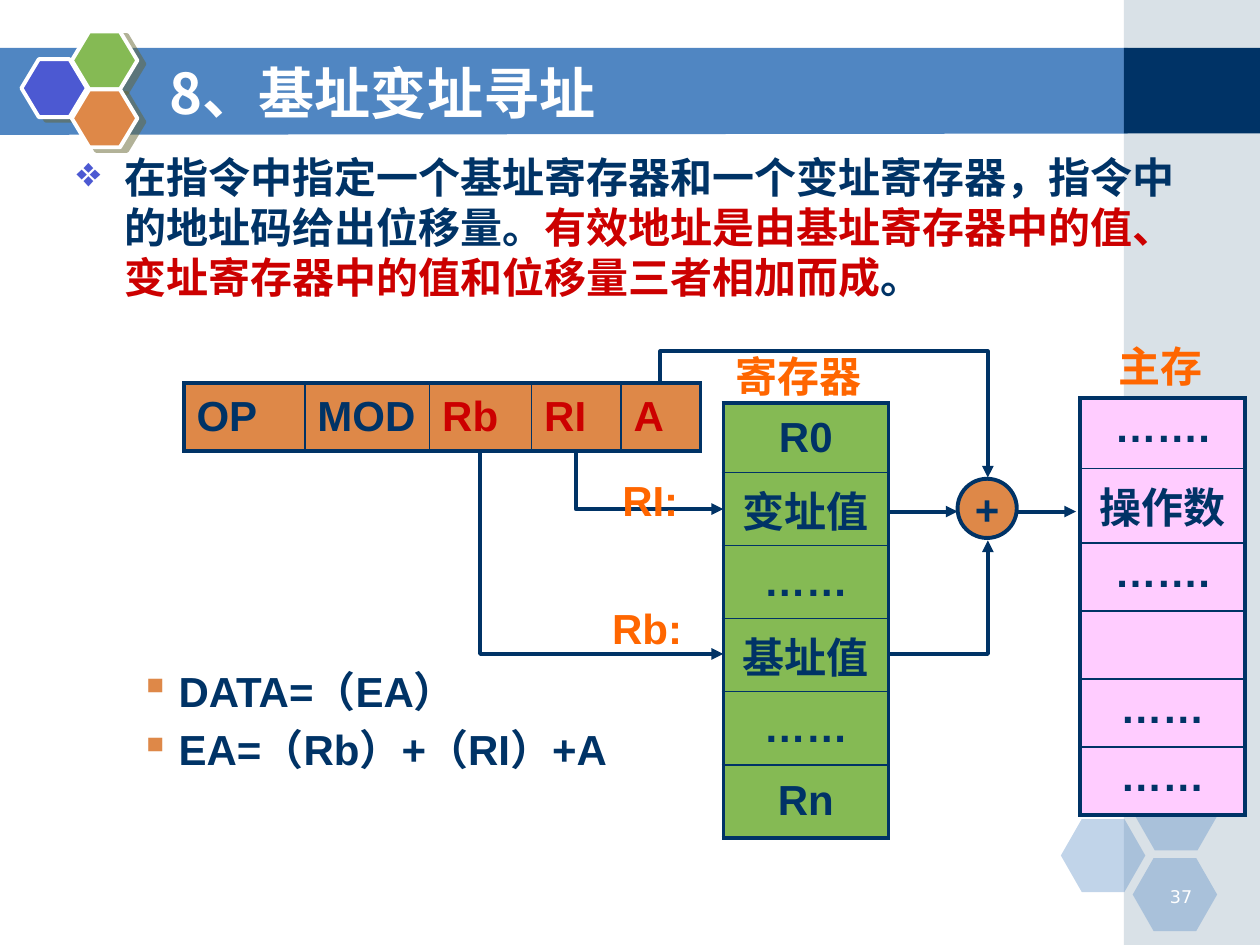
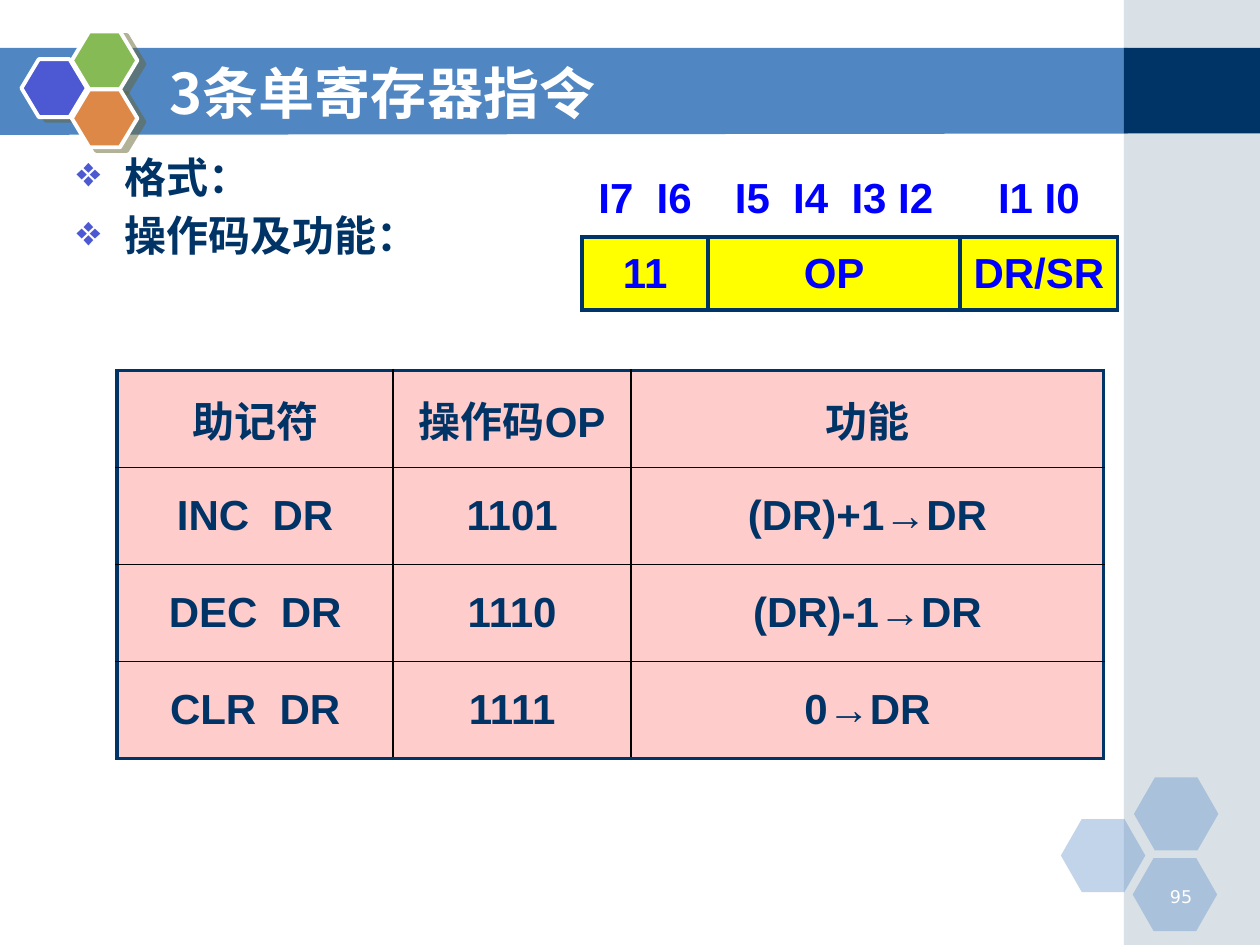
from lxml.etree import SubElement
from pptx import Presentation
from pptx.dml.color import RGBColor
from pptx.enum.shapes import MSO_CONNECTOR, MSO_SHAPE
from pptx.enum.text import MSO_ANCHOR, PP_ALIGN
from pptx.oxml.ns import qn
from pptx.util import Inches, Pt

NAVY = RGBColor(0x00, 0x33, 0x66)
BLUE = RGBColor(0x50, 0x86, 0xC2)
MIST = RGBColor(0xA0, 0xB5, 0xC4)
INDIGO = RGBColor(0x4C, 0x59, 0xD2)
GREEN = RGBColor(0x85, 0xBA, 0x54)
ORANGE = RGBColor(0xDE, 0x88, 0x48)
LABEL = RGBColor(0xFF, 0x66, 0x00)
RED = RGBColor(0xCC, 0x00, 0x00)
OLIVE = RGBColor(0x66, 0x66, 0x33)
BIT_BLUE = RGBColor(0x00, 0x00, 0xFF)
YELLOW = RGBColor(0xFF, 0xFF, 0x00)
LILAC = RGBColor(0xFF, 0xCC, 0xFF)
PINK = RGBColor(0xFF, 0xCC, 0xCC)
WHITE = RGBColor(0xFF, 0xFF, 0xFF)
BLACK = RGBColor(0x00, 0x00, 0x00)

LATIN, CHINESE, SMALL = "Arial", "Noto Sans CJK SC", "DejaVu Sans"
HEAVY, THIN = Pt(2.25), Pt(1)


def add_tag(parent, tag, **attributes):
    return SubElement(parent, qn(tag), {key: str(value) for key, value in attributes.items()})


class Builder:
    """Holds the deck style and the slide being built."""

    def __init__(self):
        self.deck = Presentation()
        self.deck.slide_width, self.deck.slide_height = Inches(10), Inches(7.5)
        self.page = None

    def start(self, title, number):
        self.page = self.deck.slides.add_slide(self.deck.slide_layouts[6])
        # Title band and right column
        outline = self.page.shapes.build_freeform(Inches(-0.01), Inches(0.38))
        outline.add_line_segments([(Inches(x), Inches(y)) for x, y in
                                   ((8.95, 0.38), (8.95, 1.06), (-0.01, 1.07))])
        self.paint(outline.convert_to_shape(), BLUE)
        self.shape(MSO_SHAPE.RECTANGLE, (8.92, 0, 1.08, 7.5), MIST, alpha=40)
        self.shape(MSO_SHAPE.RECTANGLE, (8.92, 0.38, 1.08, 0.68), NAVY)
        # Hexagon clusters
        for x, y in ((8.42, 6.5), (9, 6.17), (8.99, 6.81)):
            pale = self.shape(MSO_SHAPE.HEXAGON, (x, y, 0.67, 0.58), BLUE, alpha=35)
            pale.adjustments[0] = 0.286
        for x, y, color in ((0.17, 0.47, INDIGO), (0.57, 0.25, GREEN), (0.57, 0.71, ORANGE)):
            badge = self.shape(MSO_SHAPE.HEXAGON, (x, y, 0.52, 0.46), color, WHITE)
            badge.adjustments[0] = 0.3
            self.cast_shadow(badge)
        # Page number and title
        self.text((9.06, 6.98, 0.5, 0.25), str(number), WHITE, 10, SMALL,
                  bold=False, align=PP_ALIGN.RIGHT)
        self.text((1.25, 0.42, 7.33, 0.62), title, WHITE, 32, CHINESE,
                  anchor=MSO_ANCHOR.MIDDLE)

    def paint(self, shape, fill, line=None, alpha=None):
        shape.shadow.inherit = False
        shape.fill.solid()
        shape.fill.fore_color.rgb = fill
        if alpha:
            add_tag(shape.element.spPr.find(".//" + qn("a:srgbClr")), "a:alpha", val=alpha * 1000)
        if line is None:
            shape.line.fill.background()
        else:
            shape.line.color.rgb = line
            shape.line.width = HEAVY
        return shape

    def shape(self, kind, place, fill, line=None, alpha=None):
        shape = self.page.shapes.add_shape(kind, *map(Inches, place))
        return self.paint(shape, fill, line, alpha)

    def cast_shadow(self, shape):
        effects = shape.element.spPr.find(qn("a:effectLst"))
        shadow = add_tag(effects, "a:outerShdw", dist=Pt(4.5), dir=27 * 60000,
                         algn="ctr", rotWithShape=0)
        add_tag(add_tag(shadow, "a:srgbClr", val=OLIVE), "a:alpha", val=50000)

    def style(self, para, color, size=24, font=LATIN, bold=True, align=PP_ALIGN.LEFT):
        para.alignment = align
        para.font.name, para.font.size, para.font.bold = font, Pt(size), bold
        para.font.color.rgb = color

    def text(self, place, words, color, size=24, font=LATIN, bold=True,
             align=PP_ALIGN.LEFT, anchor=MSO_ANCHOR.TOP):
        frame = self.page.shapes.add_textbox(*map(Inches, place)).text_frame
        frame.word_wrap = True
        frame.vertical_anchor = anchor
        frame.text = words
        self.style(frame.paragraphs[0], color, size, font, bold, align)

    def bullets(self, place, items, mark, mark_color, margin, hanging, font=LATIN):
        """Each item is a list of (words, colour or None) spans."""
        frame = self.page.shapes.add_textbox(*map(Inches, place)).text_frame
        frame.word_wrap = True
        for index, spans in enumerate(items):
            para = frame.add_paragraph() if index else frame.paragraphs[0]
            properties = para._p.get_or_add_pPr()
            properties.set("marL", str(Inches(margin)))
            properties.set("indent", str(-Inches(hanging)))
            add_tag(add_tag(properties, "a:buClr"), "a:srgbClr", val=mark_color)
            add_tag(properties, "a:buChar", char=mark)
            self.style(para, NAVY, font=font)
            if index:
                para.space_before = Pt(4.8)
            for words, color in spans:
                span = para.add_run()
                span.text = words
                if color is not None:
                    span.font.color.rgb = color

    def border(self, cell, side, color, width):
        """Draw one cell edge; a width of None hides it."""
        edge = add_tag(cell._tc.get_or_add_tcPr(), "a:ln" + side, w=width or 0)
        if width is None:
            add_tag(edge, "a:noFill")
        else:
            add_tag(add_tag(edge, "a:solidFill"), "a:srgbClr", val=color)

    def table(self, corner, widths, heights, rows, fill, color=NAVY, inner=(NAVY, THIN),
              align=PP_ALIGN.CENTER, anchor=MSO_ANCHOR.MIDDLE, inset=(0.1, 0.05),
              open_rows=0, accents=()):
        """Rows before open_rows have neither fill nor frame; accents are red columns."""
        size = (sum(widths), sum(heights))
        grid = self.page.shapes.add_table(len(rows), len(widths),
                                          *map(Inches, corner + size)).table
        grid.first_row = grid.horz_banding = False
        for column, width in zip(grid.columns, widths):
            column.width = Inches(width)
        for row, height in zip(grid.rows, heights):
            row.height = Inches(height)
        last_row, last_column = len(rows) - 1, len(widths) - 1
        for r, row in enumerate(rows):
            for c, words in enumerate(row):
                cell = grid.cell(r, c)
                cell.text = words
                cell.vertical_anchor = anchor
                cell.margin_left = cell.margin_right = Inches(inset[0])
                cell.margin_top = cell.margin_bottom = Inches(inset[1])
                self.style(cell.text_frame.paragraphs[0], RED if c in accents else color,
                           align=align)
                outer = {"L": c == 0, "R": c == last_column,
                         "T": r == open_rows, "B": r in (open_rows - 1, last_row)}
                for side, is_outer in outer.items():
                    line = (NAVY, HEAVY) if is_outer else inner
                    if r < open_rows and side != "B":
                        line = (NAVY, None)
                    self.border(cell, side, *line)
                if r < open_rows:
                    cell.fill.background()
                else:
                    cell.fill.solid()
                    cell.fill.fore_color.rgb = fill

    def arrow(self, start, end, kind=MSO_CONNECTOR.STRAIGHT):
        arrow = self.page.shapes.add_connector(kind, *map(Inches, start + end))
        arrow.line.color.rgb = NAVY
        arrow.line.width = HEAVY
        add_tag(arrow.line._get_or_add_ln(), "a:tailEnd", type="triangle")
        add_tag(arrow.element.spPr, "a:effectLst")
        return arrow

    def elbow(self, start, end, turn, flip, preset="bentConnector2", bend=None):
        """Bent arrow; a quarter turn swaps the sides of its frame."""
        arrow = self.arrow(start, end, MSO_CONNECTOR.ELBOW)
        (x1, y1), (x2, y2) = start, end
        width, height = abs(x2 - x1), abs(y2 - y1)
        if turn in (90, 270):
            width, height = height, width
        arrow.left, arrow.top = Inches((x1 + x2 - width) / 2), Inches((y1 + y2 - height) / 2)
        arrow.width, arrow.height = Inches(width), Inches(height)
        frame = arrow.element.spPr.find(qn("a:xfrm"))
        for name in ("flipH", "flipV"):
            frame.set(name, "1" if name == flip else "0")
        frame.set("rot", str(turn * 60000))
        geometry = arrow.element.spPr.find(qn("a:prstGeom"))
        geometry.set("prst", preset)
        if bend is not None:
            add_tag(geometry.find(qn("a:avLst")), "a:gd", name="adj1",
                    fmla=f"val {round(bend * 100000)}")


def build_indexed_addressing(builder):
    builder.start("8、基址变址寻址", 37)
    builder.bullets((0.51, 1.15, 9, 1.4), [[
        ("在指令中指定一个基址寄存器和一个变址寄存器，指令中的地址码给出位移量。", None),
        ("有效地址是由基址寄存器中的值、变址寄存器中的值和位移量三者相加而成", RED),
        ("。", None)]], "❖", INDIGO, 0.38, 0.38)
    builder.bullets((0.51, 5.23, 5.2, 1), [[("DATA=（EA）", None)], [("EA=（Rb）+（RI）+A", None)]],
                    "▪", ORANGE, 0.81, 0.31)

    # Instruction word, registers and main memory
    builder.table((1.46, 3.04), (0.96, 0.99, 0.81, 0.71, 0.63), (0.54,),
                  [("OP", "MOD", "Rb", "RI", "A")], ORANGE,
                  align=PP_ALIGN.LEFT, accents=(2, 3, 4))
    registers = ("R0", "变址值", "……", "基址值", "……", "Rn")
    builder.table((5.74, 3.2), (1.31,), (0.55,) + (0.58,) * 5,
                  [(name,) for name in registers], GREEN)
    memory = ("…….", "操作数", "…….", "", "……", "……")
    builder.table((8.57, 3.16), (1.31,), (0.56, 0.59) + (0.54,) * 4,
                  [(value,) for value in memory], LILAC, anchor=MSO_ANCHOR.TOP)

    # Adder
    adder = builder.shape(MSO_SHAPE.OVAL, (7.6, 3.8, 0.47, 0.47), ORANGE, NAVY)
    adder.text_frame.text = "+"
    adder.text_frame.word_wrap = False
    adder.text_frame.vertical_anchor = MSO_ANCHOR.MIDDLE
    builder.style(adder.text_frame.paragraphs[0], NAVY, align=PP_ALIGN.CENTER)

    # Address paths
    builder.elbow((3.81, 3.59), (5.74, 5.19), 270, "flipH")
    builder.elbow((4.57, 3.59), (5.74, 4.04), 270, "flipH")
    builder.elbow((7.05, 5.19), (7.84, 4.29), 0, "flipV")
    builder.elbow((5.24, 3.04), (7.84, 3.79), 90, "flipV", "bentConnector3", -0.336)
    builder.arrow((7.05, 4.06), (7.6, 4.06))
    builder.arrow((8.07, 4.06), (8.54, 4.06))

    # Labels
    for words, x, y, width in (("Rb:", 4.76, 4.73, 0.95), ("RI:", 4.84, 3.72, 0.95),
                               ("寄存器", 5.74, 2.73, 1.5), ("主存", 8.78, 2.65, 1.04)):
        builder.text((x, y, width, 0.5), words, LABEL)


def build_single_register(builder):
    builder.start("3条单寄存器指令", 95)
    builder.bullets((0.51, 1.15, 3.92, 1.26), [[("格式：", None)], [("操作码及功能：", None)]],
                    "❖", INDIGO, 0.38, 0.38, CHINESE)
    # Instruction format
    builder.table((4.62, 1.28), (1, 2, 1.25), (0.6, 0.58),
                  [("I7  I6", "I5  I4  I3 I2", "I1 I0"), ("11", "OP", "DR/SR")],
                  YELLOW, BIT_BLUE, (NAVY, HEAVY), inset=(0.02, 0.02), open_rows=1)
    # Operation codes
    builder.table((0.93, 2.94), (2.19, 1.89, 3.75), (0.77,) * 4,
                  [("助记符", "操作码OP", "功能"),
                   ("INC  DR", "1101", "(DR)+1→DR"),
                   ("DEC  DR", "1110", "(DR)-1→DR"),
                   ("CLR  DR", "1111", "0→DR")], PINK, inner=(BLACK, THIN))


def main():
    builder = Builder()
    build_indexed_addressing(builder)
    build_single_register(builder)
    builder.deck.save("out.pptx")


if __name__ == "__main__":
    main()
